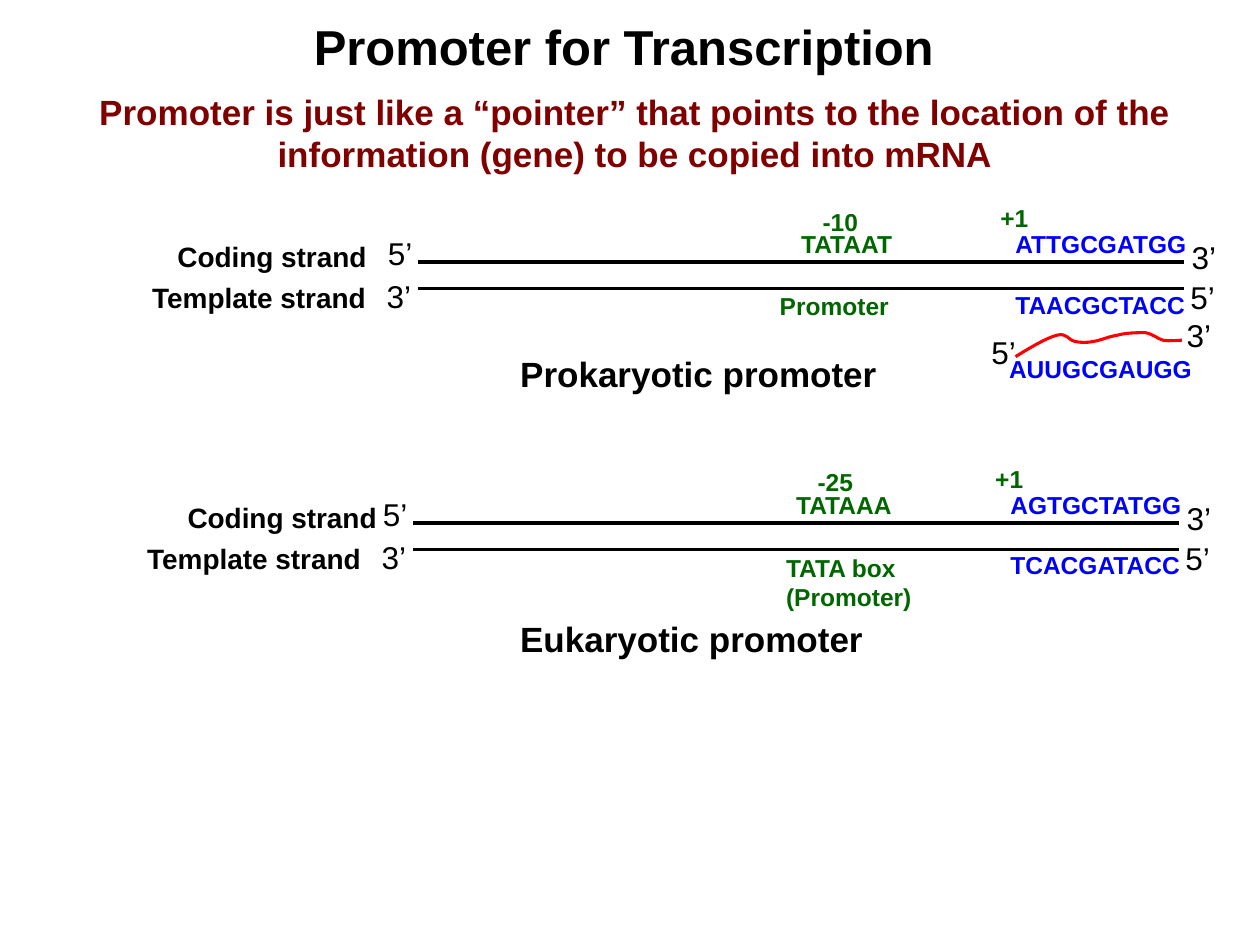
"""Build a slide that compares prokaryotic and eukaryotic promoters."""
import pptx
import pptx.util
import pptx.dml.color
import pptx.enum.shapes
import pptx.enum.text
import pptx.oxml
import pptx.oxml.ns

Inches = pptx.util.Inches
HUES = {"black": "000000", "green": "006600", "blue": "0000FF",
        "red": "FF0000", "maroon": "800000"}


def hue(name):
    return pptx.dml.color.RGBColor.from_string(HUES[name])


def write(frame, text, size=14, color="black", bold=True, align="LEFT", wrap=False):
    frame.text = text
    frame.word_wrap = wrap
    frame.auto_size = pptx.enum.text.MSO_AUTO_SIZE.SHAPE_TO_FIT_TEXT
    frame.vertical_anchor = pptx.enum.text.MSO_ANCHOR.TOP
    for para in frame.paragraphs:
        para.alignment = getattr(pptx.enum.text.PP_ALIGN, align)
        para.font.name = "Arial"
        para.font.size = pptx.util.Pt(size)
        para.font.bold = bold
        para.font.color.rgb = hue(color)


class Sheet:
    def __init__(self, slide):
        self.slide = slide
        self.shapes = slide.shapes

    def place(self, shape, box):
        shape.left, shape.top, shape.width, shape.height = map(Inches, box)

    def title(self, text, box, **style):
        self.place(self.shapes.title, box)
        write(self.shapes.title.text_frame, text, **style)

    def label(self, text, box, **style):
        shape = self.shapes.add_textbox(*map(Inches, box))
        write(shape.text_frame, text, **style)

    def end(self, text, left, top):
        self.label(text, (left, top, 0.4, 0.4), size=18, bold=False)

    def line(self, left, right, y):
        kind = pptx.enum.shapes.MSO_CONNECTOR.STRAIGHT
        line = self.shapes.add_connector(kind, *map(Inches, (left, y, right, y)))
        line.line.color.rgb = hue("black")
        line.line.width = pptx.util.Pt(2)
        props = line._element.spPr
        props.append(pptx.oxml.parse_xml(
            "<a:effectLst %s/>" % pptx.oxml.ns.nsdecls("a")))

    def curve(self, points, color, width):
        start, *rest = [(Inches(x), Inches(y)) for x, y in points]
        build = self.shapes.build_freeform(*start)
        build.add_line_segments(rest, close=False)
        shape = build.convert_to_shape()
        shape.shadow.inherit = False
        shape.fill.background()
        shape.line.color.rgb = hue(color)
        shape.line.width = pptx.util.Pt(width)
        steps = shape._element.xpath(".//a:lnTo")
        for i in range(0, len(steps), 3):
            bend = pptx.oxml.parse_xml(
                "<a:cubicBezTo %s/>" % pptx.oxml.ns.nsdecls("a"))
            steps[i].addprevious(bend)
            for step in steps[i:i + 3]:
                bend.append(step[0])
                step.getparent().remove(step)

    def duplex(self, x, y, code, temp, site, spot):
        for top in (2.08, 2.29):
            self.line(x + 3.32, x + 9.4, y + top)
        for text, left, top in (("5’", 2.98, 1.81), ("5’", 9.35, 2.16),
                                ("3’", 2.97, 2.15), ("3’", 9.36, 1.84)):
            self.end(text, x + left, y + top)
        for text, left, top, width, color in (
                ("+1", 7.84, 1.56, 0.42, "green"),
                (code, 7.96, 1.77, 1.58, "blue"),
                (temp, 7.96, 2.25, 1.58, "blue"),
                (site, 6.26, 1.77, 0.99, "green"),
                (spot, 6.43, 1.59, 0.48, "green")):
            self.label(text, (x + left, y + top, width, 0.33), color=color)
        self.label("Template strand", (x + 1.11, y + 2.18, 1.92, 0.37), size=16)


def main():
    deck = pptx.Presentation()
    deck.slide_width, deck.slide_height = Inches(10), Inches(7.5)
    sheet = Sheet(deck.slides.add_slide(deck.slide_layouts[5]))
    sheet.title("Promoter for Transcription", (2.39, 0.08, 5.15, 0.57), size=28)
    sheet.label("Promoter is just like a “pointer” that points to the location "
                "of the information (gene) to be copied into mRNA",
                (0.08, 0.67, 9.92, 0.77), size=20, color="maroon",
                align="CENTER", wrap=True)

    sheet.duplex(0, 0, "ATTGCGATGG", "TAACGCTACC", "TATAAT", "-10")
    sheet.label("Coding strand", (1.31, 1.85, 1.72, 0.37), size=16)
    sheet.label("Promoter", (6.09, 2.26, 1.07, 0.34), color="green")
    sheet.label("Prokaryotic promoter", (4.03, 2.75, 3.05, 0.44), size=20)

    sheet.curve([(8.06, 2.83), (8.19, 2.75), (8.31, 2.68), (8.39, 2.66),
                 (8.47, 2.64), (8.48, 2.7), (8.53, 2.71),
                 (8.58, 2.72), (8.63, 2.72), (8.68, 2.71),
                 (8.74, 2.7), (8.8, 2.67), (8.87, 2.66),
                 (8.94, 2.64), (9.03, 2.64), (9.09, 2.64),
                 (9.15, 2.65), (9.19, 2.69), (9.23, 2.7),
                 (9.28, 2.71), (9.35, 2.7), (9.38, 2.7)], "red", 1.75)
    sheet.end("5’", 7.77, 2.59)
    sheet.end("3’", 9.32, 2.46)
    sheet.label("AUUGCGAUGG", (7.91, 2.76, 1.65, 0.33), color="blue")

    sheet.duplex(-0.04, 2.07, "AGTGCTATGG", "TCACGATACC", "TATAAA", "-25")
    sheet.label("Coding strand", (1.39, 3.92, 1.72, 0.37), size=16)
    sheet.label("TATA box\n(Promoter)", (6.14, 4.34, 1.2, 0.57), color="green")
    sheet.label("Eukaryotic promoter", (4.03, 4.85, 2.94, 0.44), size=20)
    deck.save("out.pptx")


if __name__ == "__main__":
    main()
